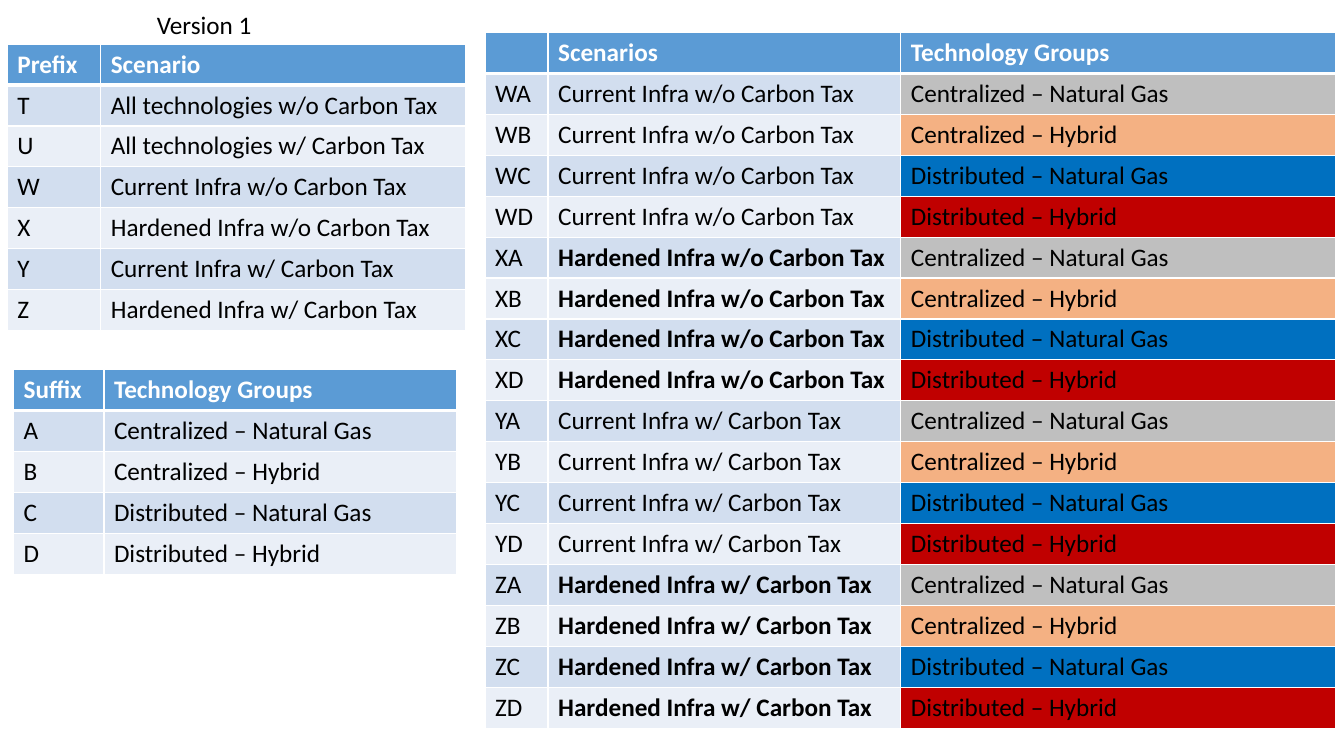
from dataclasses import dataclass
from itertools import product

from lxml import etree
from pptx import Presentation
from pptx.dml.color import RGBColor
from pptx.enum.text import MSO_AUTO_SIZE
from pptx.oxml.ns import qn
from pptx.slide import Slide
from pptx.table import _Cell
from pptx.util import Emu, Pt

FIT_SHAPE = MSO_AUTO_SIZE.SHAPE_TO_FIT_TEXT
EMU_PER_PX = 9525
ROW_HEIGHT = 39
BLANK_LAYOUT = 6


@dataclass(frozen=True)
class Theme:
    font: str = "Calibri"
    size: int = 18
    text: str = "000000"
    header_text: str = "FFFFFF"
    header_fill: str = "5B9BD5"
    bands: tuple[str, str] = ("D2DEEF", "EAEFF7")
    border: str = "FFFFFF"
    border_width: int = 1
    header_rule: int = 3


@dataclass(frozen=True)
class Entry:
    text: str
    bold: bool = False
    fill: str | None = None


@dataclass(frozen=True)
class Grid:
    left: int
    top: int
    widths: tuple[int, ...]
    header: tuple[str, ...]
    rows: list[tuple[Entry, ...]]


@dataclass(frozen=True)
class Group:
    suffix: str
    name: str
    fill: str


THEME = Theme()

SCENARIOS = {
    "T": "All technologies w/o Carbon Tax",
    "U": "All technologies w/ Carbon Tax",
    "W": "Current Infra w/o Carbon Tax",
    "X": "Hardened Infra w/o Carbon Tax",
    "Y": "Current Infra w/ Carbon Tax",
    "Z": "Hardened Infra w/ Carbon Tax",
}
GROUPS = [
    Group("A", "Centralized – Natural Gas", "BFBFBF"),
    Group("B", "Centralized – Hybrid", "F4B183"),
    Group("C", "Distributed – Natural Gas", "0070C0"),
    Group("D", "Distributed – Hybrid", "C00000"),
]

GRIDS = [
    Grid(13, 352, (86, 336), ("Suffix", "Technology Groups"),
         [(Entry(group.suffix), Entry(group.name)) for group in GROUPS]),
    Grid(7, 42, (89, 347), ("Prefix", "Scenario"),
         [(Entry(prefix), Entry(name)) for prefix, name in SCENARIOS.items()]),
    Grid(462, 31, (60, 336, 414), ("", "Scenarios", "Technology Groups"),
         [(Entry(prefix + group.suffix),
           Entry(SCENARIOS[prefix], bold=SCENARIOS[prefix].startswith("Hardened")),
           Entry(group.name, fill=group.fill))
          for prefix, group in product("WXYZ", GROUPS)]),
]


def px(length: int) -> Emu:
    return Emu(length * EMU_PER_PX)


def format_paragraph(para, color: str, bold: bool = False) -> None:
    font = para.font
    font.name = THEME.font
    font.size = Pt(THEME.size)
    font.bold = bold
    font.color.rgb = RGBColor.from_string(color)


def add_borders(cell: _Cell, top: int, bottom: int) -> None:
    properties = cell._tc.get_or_add_tcPr()
    side = THEME.border_width
    for tag, width in (("a:lnL", side), ("a:lnR", side), ("a:lnT", top), ("a:lnB", bottom)):
        line = etree.SubElement(properties, qn(tag), w=str(Pt(width)))
        fill = etree.SubElement(line, qn("a:solidFill"))
        etree.SubElement(fill, qn("a:srgbClr"), val=THEME.border)


def fill_cell(cell: _Cell, entry: Entry, row: int) -> None:
    is_header = row == 0
    add_borders(
        cell,
        top=THEME.header_rule if row == 1 else THEME.border_width,
        bottom=THEME.header_rule if is_header else THEME.border_width,
    )
    band = THEME.header_fill if is_header else THEME.bands[(row - 1) % 2]
    cell.fill.solid()
    cell.fill.fore_color.rgb = RGBColor.from_string(entry.fill or band)
    cell.text = entry.text
    color = THEME.header_text if is_header else THEME.text
    format_paragraph(cell.text_frame.paragraphs[0], color, entry.bold)


def add_grid(page: Slide, grid: Grid) -> None:
    rows = [tuple(Entry(text, bold=True) for text in grid.header), *grid.rows]
    frame = page.shapes.add_table(
        len(rows), len(grid.widths), px(grid.left), px(grid.top),
        px(sum(grid.widths)), px(ROW_HEIGHT * len(rows)),
    )
    table = frame.table
    table.horz_banding = False
    for column, width in zip(table.columns, grid.widths):
        column.width = px(width)
    for row, entries in enumerate(rows):
        table.rows[row].height = px(ROW_HEIGHT)
        for column, entry in enumerate(entries):
            fill_cell(table.cell(row, column), entry, row)


def add_label(page: Slide, text: str, left: int, top: int, width: int, height: int) -> None:
    box = page.shapes.add_textbox(px(left), px(top), px(width), px(height))
    frame = box.text_frame
    frame.word_wrap = False
    frame.auto_size = FIT_SHAPE
    frame.text = text
    format_paragraph(frame.paragraphs[0], THEME.text)


def main() -> None:
    deck = Presentation()
    deck.slide_width = px(1280)
    deck.slide_height = px(720)
    page = deck.slides.add_slide(deck.slide_layouts[BLANK_LAYOUT])
    for grid in GRIDS:
        add_grid(page, grid)
    add_label(page, "Version 1", 140, 4, 110, 39)
    deck.save("out.pptx")


if __name__ == "__main__":
    main()
